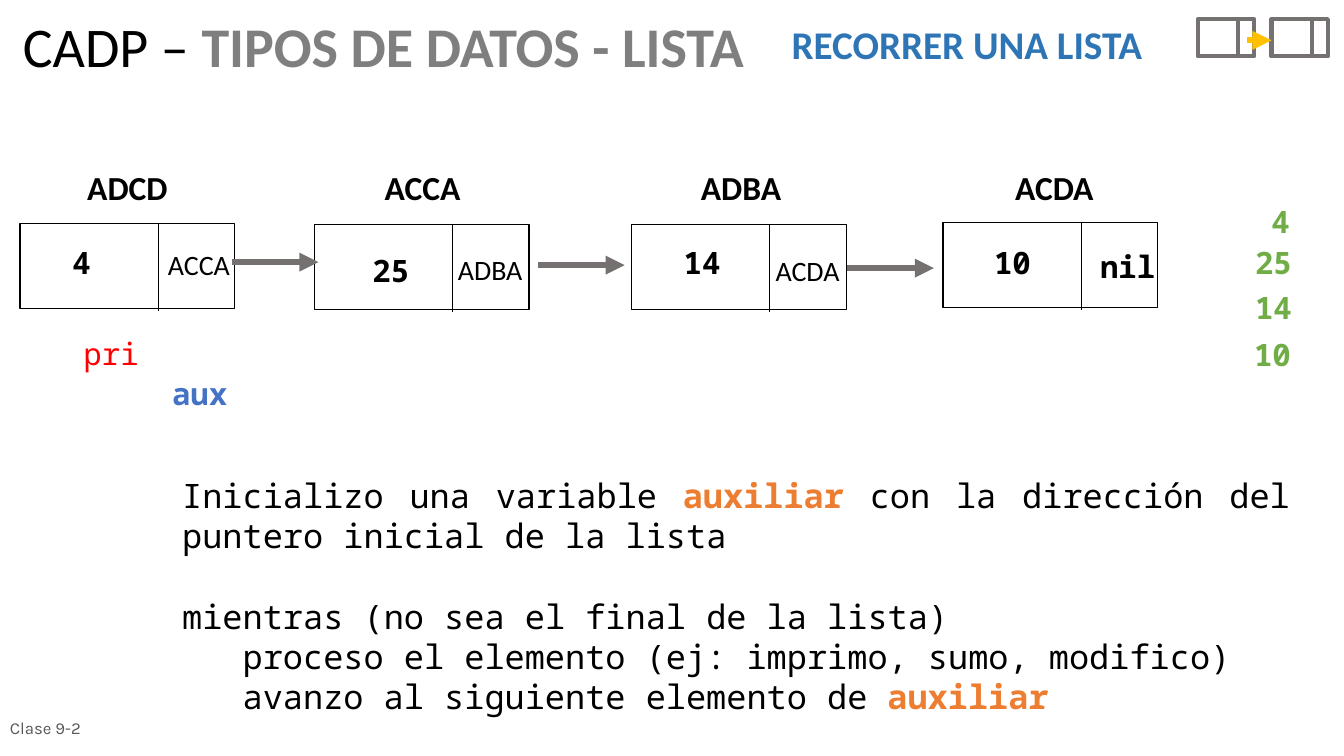
from pptx import Presentation
from pptx.dml.color import RGBColor
from pptx.enum.shapes import MSO_CONNECTOR, MSO_SHAPE
from pptx.enum.text import MSO_ANCHOR, PP_ALIGN
from pptx.oxml.ns import qn
from pptx.util import Inches, Pt
from lxml import etree

STRAIGHT = MSO_CONNECTOR.STRAIGHT
RECTANGLE = MSO_SHAPE.RECTANGLE
MIDDLE, TOP = MSO_ANCHOR.MIDDLE, MSO_ANCHOR.TOP
LEFT, CENTER, JUSTIFY = PP_ALIGN.LEFT, PP_ALIGN.CENTER, PP_ALIGN.JUSTIFY

BLACK = RGBColor(0x00, 0x00, 0x00)
RED = RGBColor(0xFF, 0x00, 0x00)
BLUE = RGBColor(0x44, 0x72, 0xC4)
DARK_BLUE = RGBColor(0x2E, 0x75, 0xB6)
GREEN = RGBColor(0x70, 0xAD, 0x47)
ORANGE = RGBColor(0xED, 0x7D, 0x31)
AMBER = RGBColor(0xFF, 0xC0, 0x00)
GRAY = RGBColor(0x76, 0x71, 0x71)
TITLE_GRAY = RGBColor(0x7F, 0x7F, 0x7F)
FOOTER_GRAY = RGBColor(0x59, 0x59, 0x59)

SANS, MONO, FOOTER_FONT = "Calibri", "Noto Sans Mono", "Karla"

NODES = [
    ("ADCD", "4", "ACCA", 0.2, 2.22, 0.4, 0.81, 2.37, 1.55, 2.41),
    ("ACCA", "25", "ADBA", 3.12, 2.23, 3.33, 3.88, 2.45, 4.44, 2.46),
    ("ADBA", "14", "ACDA", 6.27, 2.23, 6.49, 6.97, 2.37, 7.59, 2.47),
    ("ACDA", "10", None, 9.36, 2.21, 9.6, 10.05, 2.37, None, None),
]
ARROWS = [(2.3, 2.6), (5.34, 2.63), (8.41, 2.66)]
PRINTED = [("4", 12.37, 1.96), ("25", 12.3, 2.37), ("14", 12.3, 2.82), ("10", 12.29, 3.28)]
ALGORITHM = [
    (0, 0, [("Inicializo una variable ", BLACK, False), ("auxiliar ", ORANGE, True),
            ("con la dirección del puntero inicial de la lista", BLACK, False)]),
    (28.8, 0, [("mientras (no sea el final de la lista)", BLACK, False)]),
    (0, 0.6, [("proceso el elemento (ej: imprimo, sumo, modifico)", BLACK, False)]),
    (0, 0.6, [("avanzo al siguiente elemento de ", BLACK, False), ("auxiliar", ORANGE, True)]),
]


def add_runs(paragraph, runs, font, size):
    """Append (text, colour, bold) runs to a paragraph."""
    for text, color, bold in runs:
        run = paragraph.add_run()
        run.text = text
        run.font.name = font
        run.font.size = Pt(size)
        run.font.bold = bold
        run.font.color.rgb = color


def add_frame(slide, left, top, width, height, anchor=TOP):
    """Add an empty wrapping text box and return its text frame."""
    box = slide.shapes.add_textbox(Inches(left), Inches(top), Inches(width), Inches(height))
    box.text_frame.word_wrap = True
    box.text_frame.vertical_anchor = anchor
    return box.text_frame


def add_label(slide, position, runs, font, size, align=LEFT, anchor=TOP):
    """Add a one-paragraph text box and return its paragraph."""
    paragraph = add_frame(slide, *position, anchor).paragraphs[0]
    paragraph.alignment = align
    add_runs(paragraph, runs, font, size)
    return paragraph


def add_box(slide, left, top, width, height, color, weight):
    """Add an unfilled outlined rectangle."""
    shape = slide.shapes.add_shape(
        RECTANGLE, Inches(left), Inches(top), Inches(width), Inches(height))
    shape.shadow.inherit = False
    shape.fill.background()
    shape.line.color.rgb = color
    shape.line.width = Pt(weight)


def add_line(slide, start, end, color, weight, arrow=False):
    """Add a straight line, with an arrowhead at its end if asked."""
    line = slide.shapes.add_connector(STRAIGHT, *map(Inches, start + end))
    line.line.color.rgb = color
    line.line.width = Pt(weight)
    properties = line._element.spPr
    if arrow:
        etree.SubElement(properties.find(qn("a:ln")), qn("a:tailEnd"), type="triangle")
    etree.SubElement(properties, qn("a:effectLst"))


def add_node(slide, address, value, link, left, top, address_left,
             value_center, value_top, link_left, link_top):
    """Add a list node with its address, value and link."""
    add_box(slide, left, top, 2.13, 0.84, BLACK, 1)
    divider = left + 1.37
    add_line(slide, (divider, top), (divider, top + 0.87), BLACK, 0.5)
    add_label(slide, (address_left, 1.61, 1.73, 0.5), [(address, BLACK, True)], SANS, 24, CENTER)
    add_label(slide, (value_center - 0.4, value_top, 0.8, 0.47),
              [(value, BLACK, True)], MONO, 22, CENTER)
    if link:
        add_label(slide, (link_left, link_top, 0.85, 0.44),
                  [(link, BLACK, False)], SANS, 20, CENTER)
    else:
        add_label(slide, (10.82, 2.41, 0.85, 0.47), [("nil", BLACK, True)], MONO, 22)


def add_list_icon(slide):
    """Add the small two-node list in the corner."""
    for left in (11.89, 12.62):
        add_box(slide, left, 0.19, 0.56, 0.37, GRAY, 3)
        add_line(slide, (left + 0.4, 0.19), (left + 0.4, 0.57), GRAY, 3)
    add_line(slide, (12.38, 0.4), (12.62, 0.4), AMBER, 4.5, arrow=True)


def add_algorithm(slide):
    """Add the pseudocode for walking the list."""
    frame = add_frame(slide, 1.71, 4.66, 11.19, 2.5)
    for index, (space, indent, runs) in enumerate(ALGORITHM):
        paragraph = frame.add_paragraph() if index else frame.paragraphs[0]
        paragraph.alignment = JUSTIFY
        paragraph.space_before = Pt(space)
        paragraph._p.get_or_add_pPr().set("marL", str(Inches(indent)))
        add_runs(paragraph, runs, MONO, 24)


def main():
    """Build the slide and save it."""
    presentation = Presentation()
    presentation.slide_width = Inches(13.34)
    presentation.slide_height = Inches(7.5)
    slide = presentation.slides.add_slide(presentation.slide_layouts[6])

    title = add_label(slide, (0.13, 0.14, 8.74, 0.76),
                      [("CADP – ", BLACK, False), ("TIPOS DE DATOS - LISTA", TITLE_GRAY, True)],
                      SANS, 40)
    title.line_spacing = 0.9
    add_label(slide, (7.76, 0.15, 3.86, 0.57),
              [("RECORRER UNA LISTA", DARK_BLUE, True)], SANS, 28, JUSTIFY)
    add_list_icon(slide)

    for node in NODES:
        add_node(slide, *node)
    for left, top in ARROWS:
        add_line(slide, (left, top), (left + 0.86, top), GRAY, 4.5, arrow=True)
    add_label(slide, (0.73, 3.27, 0.94, 0.47), [("pri", RED, False)], MONO, 22)
    add_label(slide, (1.61, 3.67, 0.94, 0.47), [("aux", BLUE, True)], MONO, 22)
    for value, left, top in PRINTED:
        add_label(slide, (left, top, 0.68, 0.47), [(value, GREEN, True)], MONO, 22, CENTER)

    add_algorithm(slide)
    add_label(slide, (0, 7.02, 2.33, 0.4), [("Clase 9-2", FOOTER_GRAY, False)],
              FOOTER_FONT, 12, anchor=MIDDLE)
    presentation.save("out.pptx")


if __name__ == "__main__":
    main()
